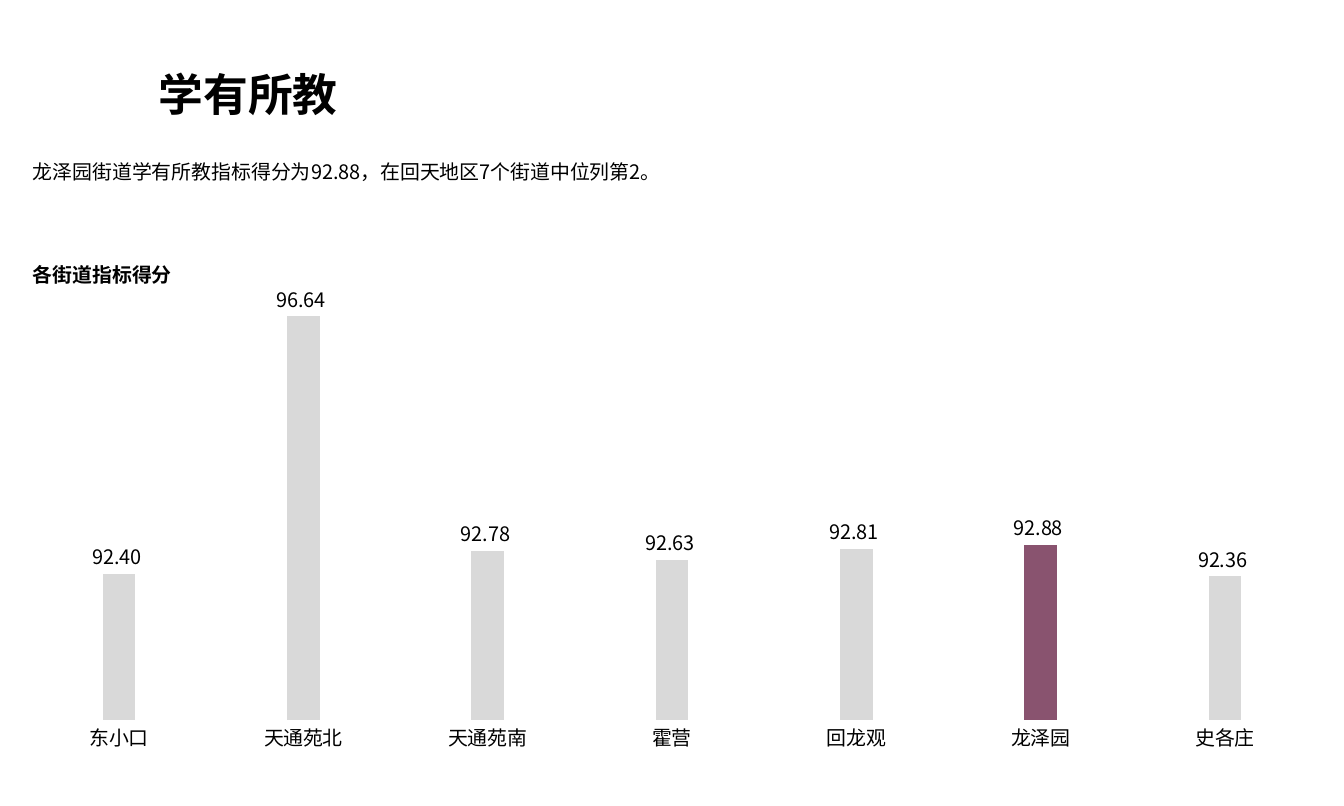
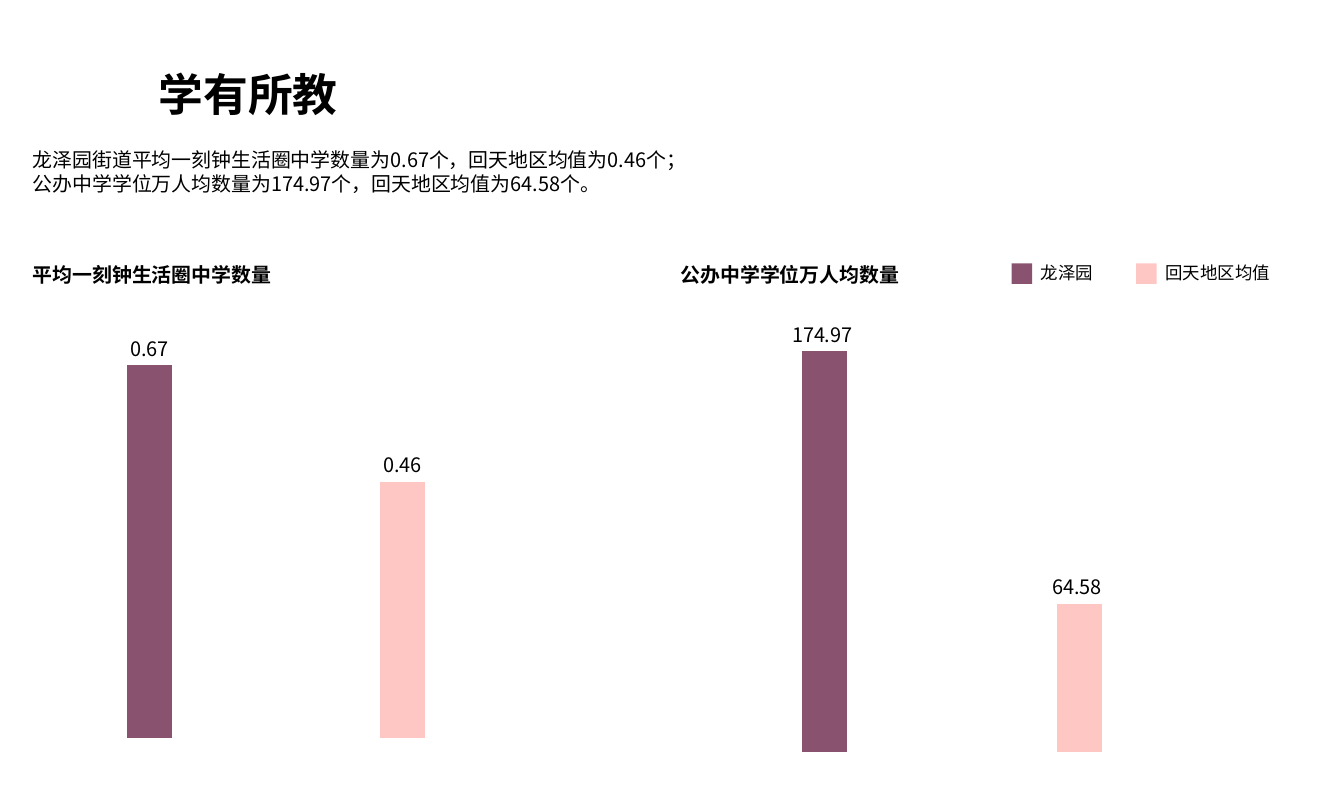
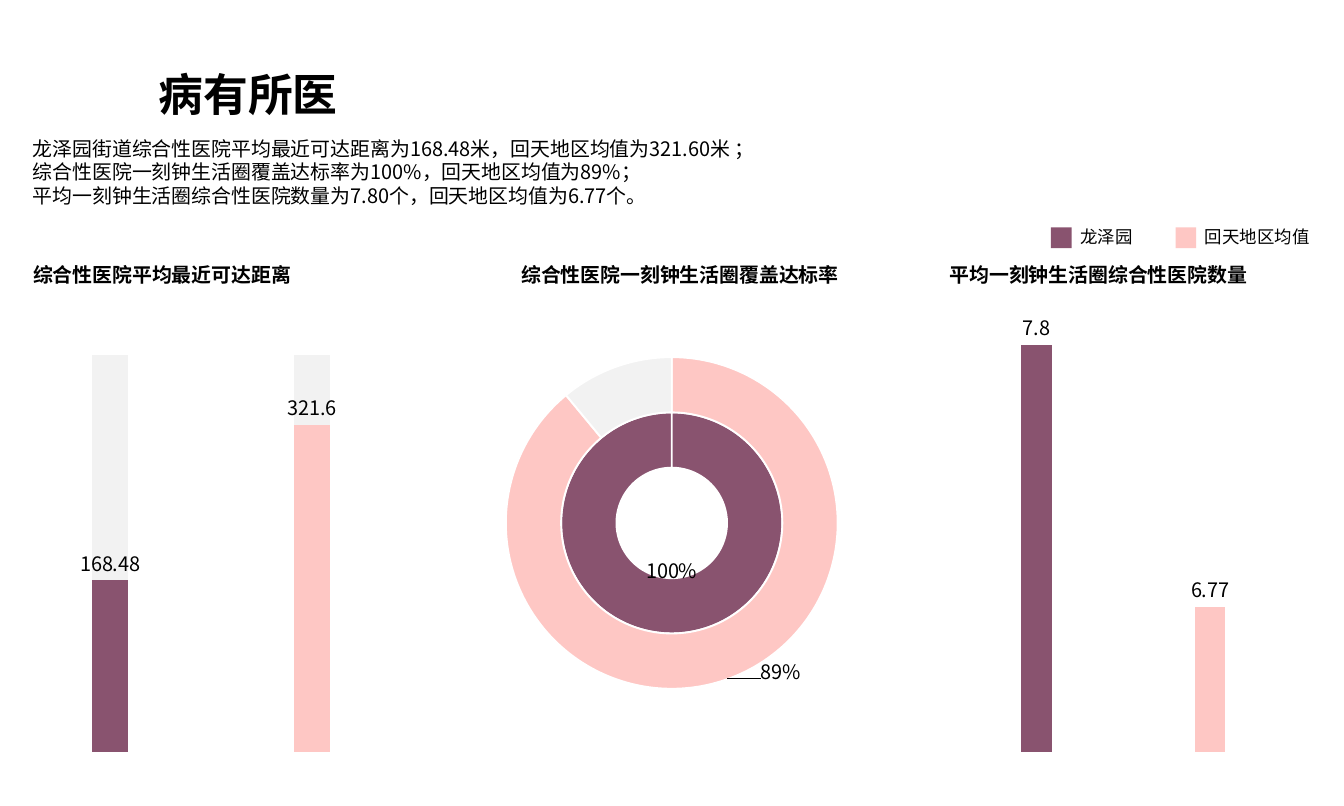
from dataclasses import dataclass

from lxml import etree
from pptx import Presentation
from pptx.chart.data import CategoryChartData
from pptx.dml.color import RGBColor
from pptx.enum.chart import XL_CHART_TYPE, XL_LABEL_POSITION, XL_TICK_MARK
from pptx.enum.shapes import MSO_SHAPE
from pptx.enum.text import MSO_ANCHOR, MSO_AUTO_SIZE, PP_ALIGN
from pptx.oxml.ns import qn
from pptx.util import Inches, Pt

COLUMN = XL_CHART_TYPE.COLUMN_CLUSTERED
DOUGHNUT = XL_CHART_TYPE.DOUGHNUT
OUTSIDE_END = XL_LABEL_POSITION.OUTSIDE_END
NO_TICK = XL_TICK_MARK.NONE
RECTANGLE = MSO_SHAPE.RECTANGLE
TOP, MIDDLE = MSO_ANCHOR.TOP, MSO_ANCHOR.MIDDLE
FIXED_SIZE = MSO_AUTO_SIZE.NONE
LEFT = PP_ALIGN.LEFT
TITLE_ONLY = 5


@dataclass(frozen=True)
class Theme:
    font: str = "Noto Sans CJK SC"
    text: str = "000000"
    background: str = "FFFFFF"
    street: str = "89536F"
    region: str = "FEC7C4"
    neutral: str = "D9D9D9"
    track: str = "F2F2F2"
    title_size: int = 36
    body_size: int = 16
    legend_size: int = 14


@dataclass(frozen=True)
class Series:
    name: str
    values: tuple
    colors: tuple
    labelled: bool = True


THEME = Theme()
PAIR = (THEME.street, THEME.region)
PAIR_NAMES = ("龙泽园", "回天地区均值")
SUMMARY_BOX = (0.27, 1.47, 14.46, 0.9)
HEADING_TOP = 2.88
PLOT_AREA = (0.022, 0.02, 0.957, 0.96)
TWO_DECIMALS = "0.00_ "


def color(value):
    return RGBColor.from_string(value)


def lengths(box):
    return [Inches(value) for value in box]


def paint(fill, value):
    fill.solid()
    fill.fore_color.rgb = color(value)


def style_font(font, size, bold=False):
    font.size = Pt(size)
    font.bold = bold
    font.color.rgb = color(THEME.text)
    font.name = THEME.font
    properties = font._rPr
    properties.set("lang", "zh-CN")
    latin = properties.find(qn("a:latin"))
    east_asian = etree.Element(qn("a:ea"), typeface=THEME.font)
    latin.addnext(east_asian)


def write(shape, lines, size, bold=False, wrap=True, anchor=TOP, spacing=None):
    frame = shape.text_frame
    frame.auto_size = FIXED_SIZE
    frame.word_wrap = wrap
    frame.vertical_anchor = anchor
    for index, line in enumerate(lines):
        paragraph = frame.add_paragraph() if index else frame.paragraphs[0]
        paragraph.alignment = LEFT
        if spacing:
            paragraph.line_spacing = spacing
        run = paragraph.add_run()
        run.text = line
        style_font(run.font, size, bold)


def add_label(shapes, left, top, text, size, bold=False):
    width = 0.22 + len(text) * size / 72
    height = 0.1 + size / 60
    box = shapes.add_textbox(*lengths((left, top, width, height)))
    write(box, [text], size, bold, wrap=False)


def add_heading(slide, left, text):
    add_label(slide.shapes, left, HEADING_TOP, text, THEME.body_size, bold=True)


def add_legend(slide, left, top):
    group = slide.shapes.add_group_shape()
    swatch_size, step = 0.23, 1.39
    for index, (name, fill) in enumerate(zip(PAIR_NAMES, PAIR)):
        swatch_left = left + index * step
        box = (swatch_left, top + 0.06, swatch_size, swatch_size)
        swatch = group.shapes.add_shape(RECTANGLE, *lengths(box))
        swatch.shadow.inherit = False
        paint(swatch.fill, fill)
        swatch.line.fill.background()
        add_label(group.shapes, swatch_left + swatch_size, top, name,
                  THEME.legend_size)


def add_layout(parent, position, values, fields):
    layout = etree.Element(qn("c:layout"))
    manual = etree.SubElement(layout, qn("c:manualLayout"))
    for field, value in zip(fields, values):
        etree.SubElement(manual, qn(f"c:{field}"), val=str(value))
    for existing in parent.findall(qn("c:layout")):
        parent.remove(existing)
    parent.insert(position, layout)
    return layout


def add_base_chart(slide, kind, box, categories, series_list, plot_area):
    data = CategoryChartData()
    data.categories = categories
    for series in series_list:
        data.add_series(series.name, series.values)
    chart = slide.shapes.add_chart(kind, *lengths(box), data).chart
    chart.has_legend = False
    chart.has_title = False
    style_font(chart.font, THEME.body_size)
    add_layout(chart._chartSpace.chart.plotArea, 0,
               ("inner", "edge", "edge") + plot_area,
               ("layoutTarget", "xMode", "yMode", "x", "y", "w", "h"))
    for series, drawn in zip(series_list, chart.plots[0].series):
        for index, fill in enumerate(series.colors):
            paint(drawn.points[index].format.fill, fill)
    return chart


def add_column_chart(slide, box, series_list, scale, categories=PAIR_NAMES,
                     number_format="General", overlap=-27,
                     plot_area=PLOT_AREA, show_categories=False):
    chart = add_base_chart(slide, COLUMN, box, categories, series_list, plot_area)
    plot = chart.plots[0]
    plot.vary_by_categories = False
    plot.gap_width = 464
    plot.overlap = overlap
    value_axis, category_axis = chart.value_axis, chart.category_axis
    value_axis.minimum_scale, value_axis.maximum_scale = scale
    value_axis.has_major_gridlines = False
    value_axis.visible = False
    category_axis.visible = show_categories
    if show_categories:
        category_axis.major_tick_mark = NO_TICK
        category_axis.minor_tick_mark = NO_TICK
        category_axis.format.line.fill.background()
        style_font(category_axis.tick_labels.font, THEME.body_size)
    for series, drawn in zip(series_list, plot.series):
        paint(drawn.format.fill, series.colors[0])
        drawn.invert_if_negative = False
        if series.labelled:
            labels = drawn.data_labels
            labels.show_value = True
            labels.position = OUTSIDE_END
            labels.number_format = number_format
            labels.number_format_is_linked = False
            style_font(labels.font, THEME.body_size)


def add_doughnut_chart(slide, box, series_list, label_offsets):
    chart = add_base_chart(slide, DOUGHNUT, box, ("达标", "未达标"), series_list,
                           (0.123, 0.037, 0.753, 0.926))
    for drawn, offset in zip(chart.plots[0].series, label_offsets):
        for index in range(len(drawn.values)):
            line = drawn.points[index].format.line
            line.color.rgb = color(THEME.background)
            line.width = Pt(1.5)
        drawn.data_labels.show_value = False
        style_font(drawn.points[0].data_label.font, THEME.body_size)
        label = drawn._element.find(f".//{qn('c:dLbl')}")
        layout = add_layout(label, 1, offset, ("x", "y"))
        layout.addnext(etree.Element(qn("c:numFmt"), formatCode="0%",
                                     sourceLinked="0"))


def add_report_slide(presentation, title, summary):
    slide = presentation.slides.add_slide(presentation.slide_layouts[TITLE_ONLY])
    paint(slide.background.fill, THEME.background)
    heading = slide.shapes.title
    heading.left, heading.top, heading.width, heading.height = lengths(
        (1.67, 0.39, 3.04, 0.9))
    write(heading, [title], THEME.title_size, bold=True, spacing=1.5)
    box = slide.shapes.add_textbox(*lengths(SUMMARY_BOX))
    write(box, summary, THEME.body_size, anchor=MIDDLE)
    return slide


def build_street_scores(presentation):
    slide = add_report_slide(presentation, "学有所教", [
        "龙泽园街道学有所教指标得分为92.88，在回天地区7个街道中位列第2。"])
    add_heading(slide, 0.27, "各街道指标得分")
    streets = ("东小口", "天通苑北", "天通苑南", "霍营", "回龙观", "龙泽园", "史各庄")
    scores = (92.4, 96.64, 92.78, 92.63, 92.81, 92.88, 92.36)
    fills = tuple(THEME.street if street == "龙泽园" else THEME.neutral
                  for street in streets)
    add_column_chart(slide, (0, 3.18, 15, 5.32), [Series("得分", scores, fills)],
                     (90, 97), streets, TWO_DECIMALS,
                     plot_area=(0.02, 0.02, 0.96, 0.893), show_categories=True)


def build_schools(presentation):
    slide = add_report_slide(presentation, "学有所教", [
        "龙泽园街道平均一刻钟生活圈中学数量为0.67个，回天地区均值为0.46个；",
        "公办中学学位万人均数量为174.97个，回天地区均值为64.58个。"])
    add_heading(slide, 0.27, "平均一刻钟生活圈中学数量")
    add_column_chart(slide, (0, 3.18, 5.94, 5.82),
                     [Series("中学数量", (0.67, 0.46), PAIR)], (0, 0.8),
                     plot_area=(0.044, 0.016, 0.949, 0.853))
    add_heading(slide, 7.5, "公办中学学位万人均数量")
    add_legend(slide, 11.29, 2.88)
    add_column_chart(slide, (7.65, 3.18, 5.94, 5.32),
                     [Series("学位数量", (174.97, 64.58), PAIR)], (0, 200),
                     number_format=TWO_DECIMALS)


def build_hospitals(presentation):
    slide = add_report_slide(presentation, "病有所医", [
        "龙泽园街道综合性医院平均最近可达距离为168.48米，回天地区均值为321.60米 ；",
        "综合性医院一刻钟生活圈覆盖达标率为100%，回天地区均值为89%；",
        "平均一刻钟生活圈综合性医院数量为7.80个，回天地区均值为6.77个。"])
    add_heading(slide, 0.27, "综合性医院平均最近可达距离")
    add_column_chart(slide, (0, 3.18, 4.71, 5.32), [
        Series("底轨", (390, 390), (THEME.track, THEME.track), labelled=False),
        Series("距离", (168.48, 321.6), PAIR)], (0, 450), overlap=100)
    add_heading(slide, 5.72, "综合性医院一刻钟生活圈覆盖达标率")
    add_doughnut_chart(slide, (5.04, 3.84, 4.92, 4), [
        Series(PAIR_NAMES[0], (1, 0), (THEME.street, THEME.track)),
        Series(PAIR_NAMES[1], (0.89, 0.11), (THEME.region, THEME.track))],
        ((0, -0.1), (0.14, 0.05)))
    add_heading(slide, 10.5, "平均一刻钟生活圈综合性医院数量")
    add_column_chart(slide, (10.51, 3.18, 4.05, 5.32),
                     [Series("医院数量", (7.8, 6.77), PAIR)], (6.2, 8))
    add_legend(slide, 11.73, 2.48)


def main():
    presentation = Presentation()
    presentation.slide_width = Inches(15)
    presentation.slide_height = Inches(9)
    build_street_scores(presentation)
    build_schools(presentation)
    build_hospitals(presentation)
    presentation.save("out.pptx")


if __name__ == "__main__":
    main()
